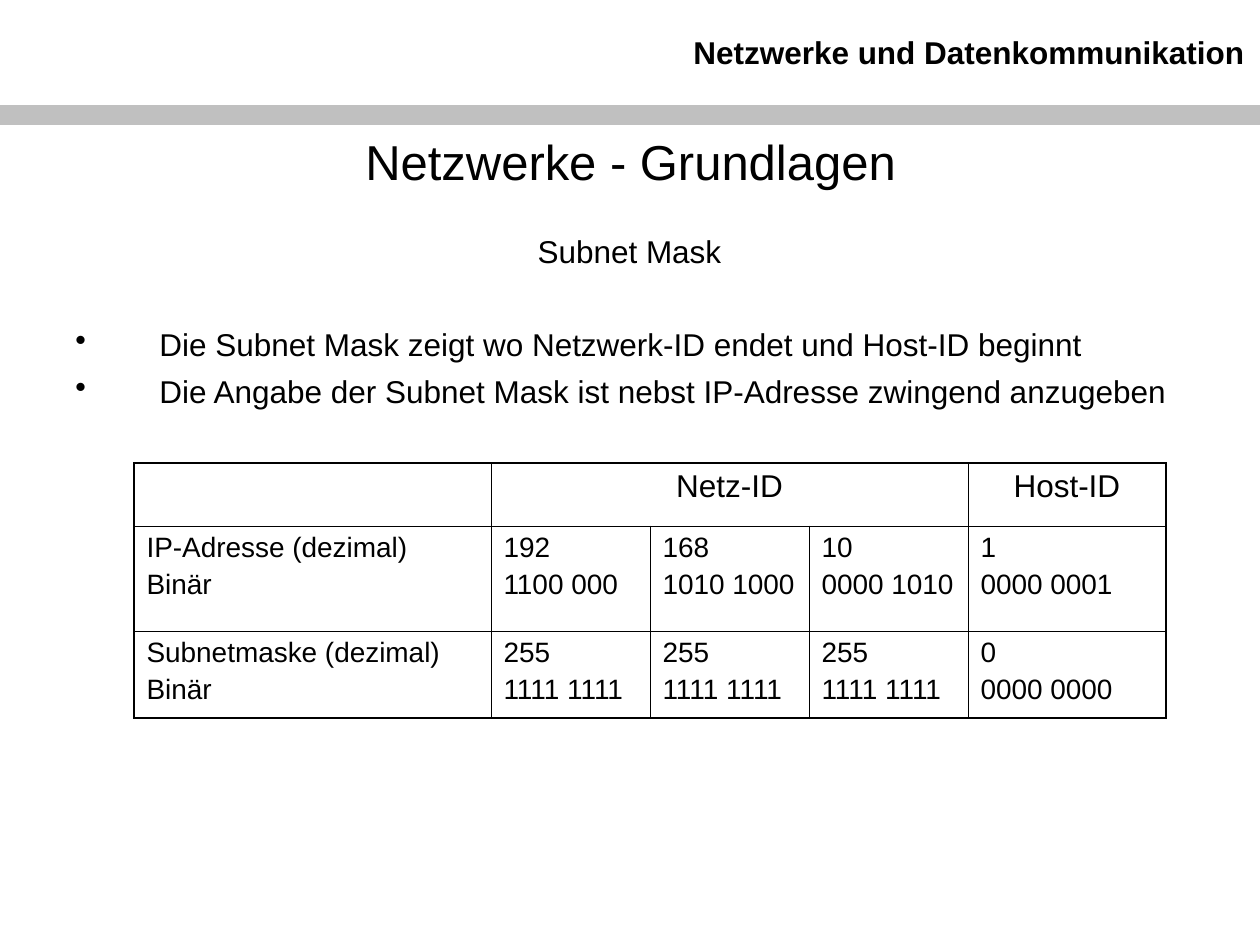
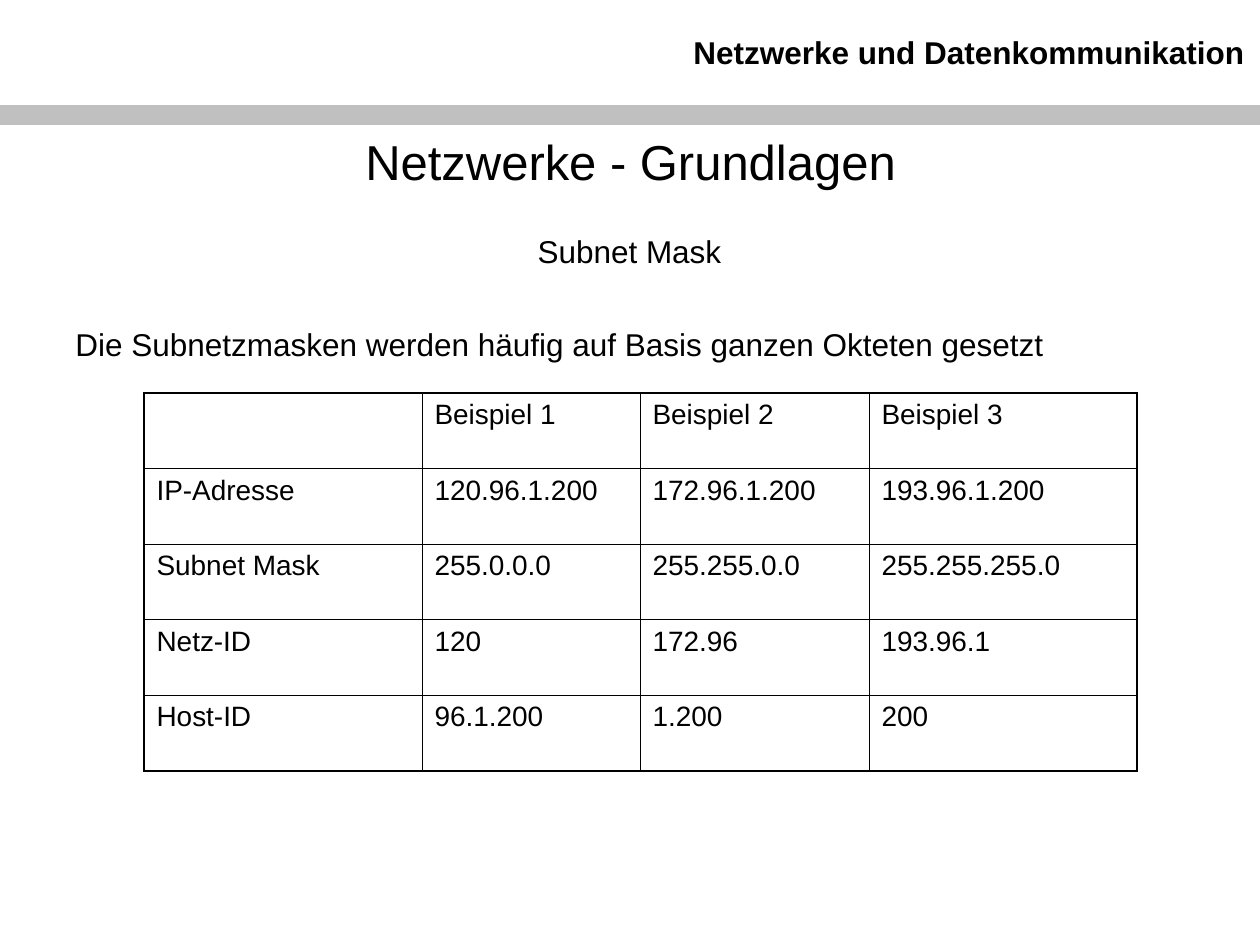
import lxml.etree
import pptx
import pptx.dml.color
import pptx.enum.shapes
import pptx.enum.text
import pptx.oxml.ns
import pptx.util

PX = 914400 / 126
SLIDE_WIDTH, SLIDE_HEIGHT = 1260, 945
FONT = "Arial"
COLORS = {"text": "000000", "band": "C0C0C0", "border": "000000"}
ALIGN = pptx.enum.text.PP_ALIGN
THIN, THICK = 0.45, 1.08

HEADER_BOX = (522, 27, 735, 50)
BAND_BOX = (0, 105, SLIDE_WIDTH, 20)
TITLE_BOX = (64, 125, 1133, 71)
BODY_BOX = (63, 226, 1133, 632)
BULLET_INDENT = 84


def px(length):
    return pptx.util.Emu(round(length * PX))


def color(name):
    return pptx.dml.color.RGBColor.from_string(COLORS[name])


def format_paragraph(paragraph, size, align=ALIGN.LEFT, bold=False, before=0):
    paragraph.alignment = align
    if before:
        paragraph.space_before = pptx.util.Pt(before)
    for run in paragraph.runs:
        run.font.name = FONT
        run.font.size = pptx.util.Pt(size)
        run.font.bold = bold
        run.font.color.rgb = color("text")


def add_text(slide, box, text):
    text_frame = slide.shapes.add_textbox(*map(px, box)).text_frame
    text_frame.word_wrap = True
    text_frame.text = text
    return text_frame


def add_bullet(paragraph):
    properties = paragraph._p.get_or_add_pPr()
    properties.set("marL", str(px(BULLET_INDENT)))
    properties.set("indent", str(-px(BULLET_INDENT)))
    bullet = lxml.etree.SubElement(properties, pptx.oxml.ns.qn("a:buChar"))
    bullet.set("char", "•")


def add_header(slide):
    # Course name above the grey band
    header = add_text(slide, HEADER_BOX, "Netzwerke und Datenkommunikation")
    format_paragraph(header.paragraphs[0], 18, ALIGN.RIGHT, bold=True)
    band = slide.shapes.add_shape(
        pptx.enum.shapes.MSO_SHAPE.RECTANGLE, *map(px, BAND_BOX))
    band.shadow.inherit = False
    band.fill.solid()
    band.fill.fore_color.rgb = color("band")
    band.line.fill.background()

    # Chapter title
    title = add_text(slide, TITLE_BOX, "Netzwerke - Grundlagen")
    title.vertical_anchor = pptx.enum.text.MSO_ANCHOR.MIDDLE
    format_paragraph(title.paragraphs[0], 28, ALIGN.CENTER)


def add_body(slide, topic, statements, bulleted):
    body = add_text(slide, BODY_BOX, "\n".join([topic, *statements]))
    heading, *paragraphs = body.paragraphs
    format_paragraph(heading, 18, ALIGN.CENTER)
    for index, paragraph in enumerate(paragraphs):
        format_paragraph(paragraph, 18, before=5.5 if index else 31.3)
        if bulleted:
            add_bullet(paragraph)


def set_borders(cell, widths):
    properties = cell._tc.get_or_add_tcPr()
    for side, width in zip("LRTB", widths):
        line = lxml.etree.SubElement(properties, pptx.oxml.ns.qn(f"a:ln{side}"))
        line.set("w", str(pptx.util.Pt(width)))
        fill = lxml.etree.SubElement(line, pptx.oxml.ns.qn("a:solidFill"))
        fill_color = lxml.etree.SubElement(fill, pptx.oxml.ns.qn("a:srgbClr"))
        fill_color.set("val", COLORS["border"])


def add_grid(slide, left, top, column_widths, row_heights, rows,
             header_size=16, header_align=ALIGN.LEFT):
    """Table with thin inner lines and a thicker frame."""
    last_row, last_column = len(row_heights) - 1, len(column_widths) - 1
    box = (left, top, sum(column_widths), sum(row_heights))
    table = slide.shapes.add_table(
        len(row_heights), len(column_widths), *map(px, box)).table
    table.first_row = table.horz_banding = False
    for column, width in zip(table.columns, column_widths):
        column.width = px(width)
    for row, height in zip(table.rows, row_heights):
        row.height = px(height)

    for r, values in enumerate(rows):
        size, align = (16, ALIGN.LEFT) if r else (header_size, header_align)
        for c, value in enumerate(values):
            cell = table.cell(r, c)
            cell.text_frame.text = value
            for index, paragraph in enumerate(cell.text_frame.paragraphs):
                format_paragraph(paragraph, size, align, before=3.5 if index else 0)
            on_frame = (c == 0, c == last_column, r == 0, r == last_row)
            set_borders(cell, [THICK if outer else THIN for outer in on_frame])
            cell.fill.background()
    return table


def add_mask_slide(presentation, statements, bulleted=False):
    slide = presentation.slides.add_slide(presentation.slide_layouts[6])
    add_header(slide)
    add_body(slide, "Subnet Mask", statements, bulleted)
    return slide


def build_definition_slide(presentation):
    slide = add_mask_slide(presentation, [
        "Die Subnet Mask zeigt wo Netzwerk-ID endet und Host-ID beginnt",
        "Die Angabe der Subnet Mask ist nebst IP-Adresse zwingend anzugeben",
    ], bulleted=True)
    rows = [
        ["", "Netz-ID", "", "", "Host-ID"],
        ["IP-Adresse (dezimal)\nBinär", "192\n1100 000", "168\n1010 1000",
         "10\n0000 1010", "1\n0000 0001"],
        ["Subnetmaske (dezimal)\nBinär", *["255\n1111 1111"] * 3, "0\n0000 0000"],
    ]
    table = add_grid(slide, 134, 463, [357, 159, 159, 159, 198], [63, 105, 87],
                     rows, header_size=18, header_align=ALIGN.CENTER)
    table.cell(0, 1).merge(table.cell(0, 3))


def build_examples_slide(presentation):
    slide = add_mask_slide(presentation, [
        "Die Subnetzmasken werden häufig auf Basis ganzen Okteten gesetzt"])
    rows = [
        ["", "Beispiel 1", "Beispiel 2", "Beispiel 3"],
        ["IP-Adresse", "120.96.1.200", "172.96.1.200", "193.96.1.200"],
        ["Subnet Mask", "255.0.0.0", "255.255.0.0", "255.255.255.0"],
        ["Netz-ID", "120", "172.96", "193.96.1"],
        ["Host-ID", "96.1.200", "1.200", "200"],
    ]
    row_height = 378 / len(rows)
    add_grid(slide, 144, 393, [278, 218, 229, 268], [row_height] * len(rows), rows)


def main():
    presentation = pptx.Presentation()
    presentation.slide_width = px(SLIDE_WIDTH)
    presentation.slide_height = px(SLIDE_HEIGHT)
    build_definition_slide(presentation)
    build_examples_slide(presentation)
    presentation.save("out.pptx")


if __name__ == "__main__":
    main()
